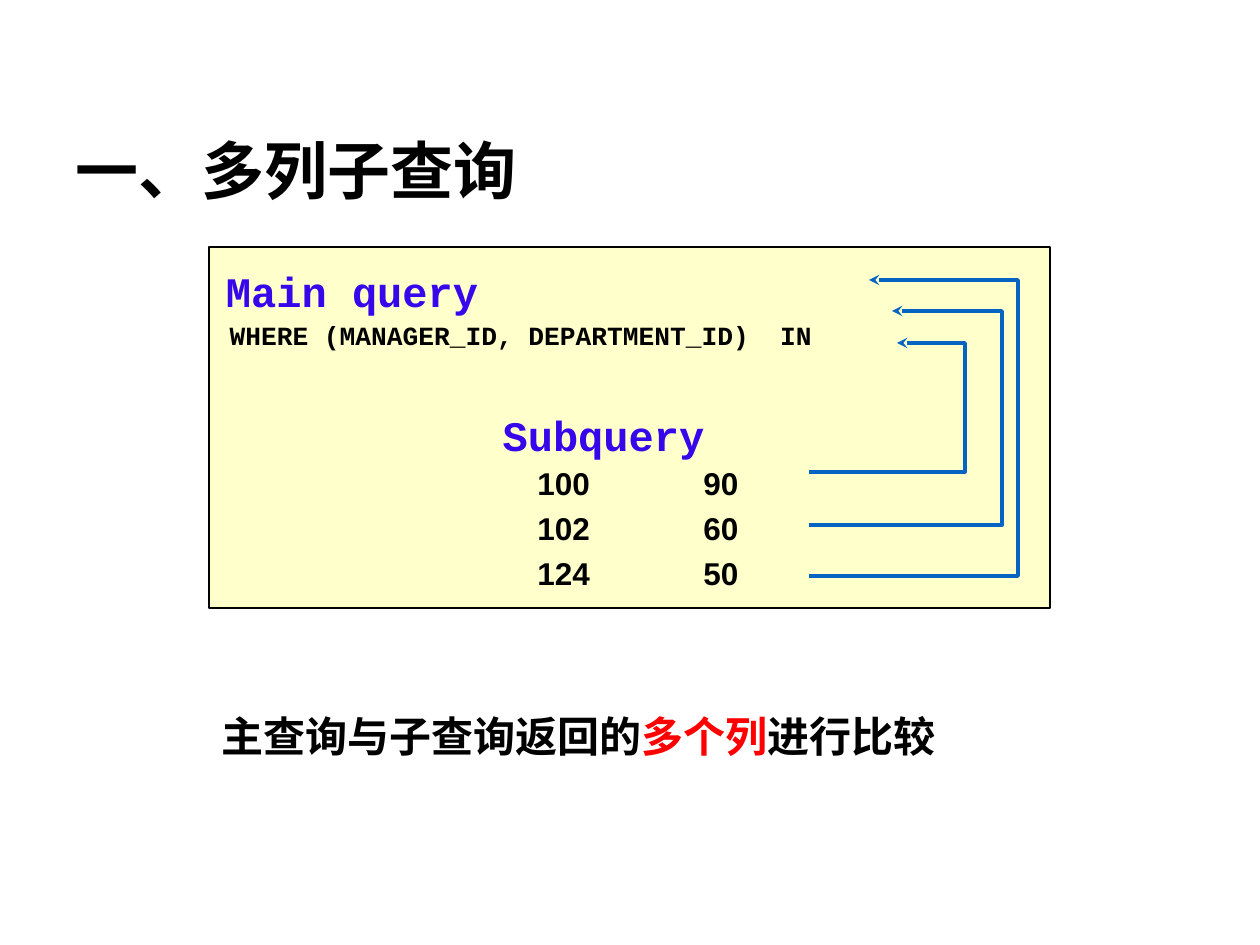
"""Build a slide showing how a multiple-column subquery is compared with its main query."""
from lxml import etree
from pptx import Presentation
from pptx import util as u
from pptx.dml.color import RGBColor
from pptx.enum import shapes, text
from pptx.oxml import ns

PX = u.Inches(1) // 126
COLORS = {"black": "000000", "violet": "3706EA", "red": "FF0000", "blue": "0563C1", "cream": "FFFFCC"}

TITLE = "一、多列子查询"
TITLE_BOX = (63, 96, 1134, 157)
PANEL_BOX = (209, 247, 841, 361)
LABELS = [
    ("Main query", (212, 249, 280, 72), 24, "violet"),
    ("WHERE (MANAGER_ID, DEPARTMENT_ID)  IN", (214, 307, 614, 49), 15, "black"),
    ("Subquery", (489, 393, 229, 72), 24, "violet"),
]
ROWS = [("100", "90"), ("102", "60"), ("124", "50")]
ROWS_BOX = (525, 450, 316, 149)
COLUMN_GAP = 166
SUMMARY = [("主查询与子查询返回的", "black"), ("多个列", "red"), ("进行比较", "black")]
SUMMARY_BOX = (209, 708, 895, 62)
ARROW_START = 809
ARROWS = [(472, 965, 343, 897), (525, 1002, 311, 892), (576, 1018, 280, 869)]


def color(name):
    return RGBColor.from_string(COLORS[name])


def emu(box):
    return [length * PX for length in box]


def add_element(parent, tag, **attributes):
    return etree.SubElement(parent, ns.qn(tag), attributes)


def format_run(run, size, font, color_name):
    run.font.size, run.font.name, run.font.bold = u.Pt(size), font, True
    run.font.color.rgb = color(color_name)


def add_text(slide, box, pieces, size, font, spacing, before, wrap=True):
    frame = slide.shapes.add_textbox(*emu(box)).text_frame
    frame.word_wrap = wrap
    frame.auto_size = text.MSO_AUTO_SIZE.SHAPE_TO_FIT_TEXT
    paragraph = frame.paragraphs[0]
    paragraph.alignment = text.PP_ALIGN.LEFT if wrap else text.PP_ALIGN.CENTER
    paragraph.line_spacing = spacing
    properties = paragraph._p.get_or_add_pPr()
    add_element(add_element(properties, "a:spcBef"), "a:spcPct", val=str(before * 1000))
    if len(pieces) == 1:
        paragraph.text = pieces[0][0]
    else:
        for words, _ in pieces:
            paragraph.add_run().text = words
    for index, run in enumerate(paragraph.runs):
        format_run(run, size, font, pieces[min(index, len(pieces) - 1)][1])
    return paragraph


def add_arrow(slide, start_y, turn_x, end_y, end_x):
    builder = slide.shapes.build_freeform(ARROW_START, start_y, scale=PX)
    builder.add_line_segments([(turn_x, start_y), (turn_x, end_y), (end_x, end_y)], close=False)
    arrow = builder.convert_to_shape()
    arrow.shadow.inherit = False
    arrow.fill.background()
    arrow.line.color.rgb = color("blue")
    arrow.line.width = u.Pt(2)
    line = arrow.line._get_or_add_ln()
    add_element(line, "a:round")
    add_element(line, "a:tailEnd", type="stealth")


def main():
    presentation = Presentation()
    presentation.slide_width, presentation.slide_height = u.Inches(10), u.Inches(7.5)
    slide = presentation.slides.add_slide(presentation.slide_layouts[5])

    title = slide.shapes.title
    title.left, title.top, title.width, title.height = emu(TITLE_BOX)
    title.text_frame.text = TITLE
    title.text_frame.vertical_anchor = text.MSO_ANCHOR.MIDDLE
    heading = title.text_frame.paragraphs[0]
    heading.alignment, heading.line_spacing = text.PP_ALIGN.LEFT, 0.9
    format_run(heading.runs[0], 36, "Arial", "black")

    panel = slide.shapes.add_shape(shapes.MSO_SHAPE.RECTANGLE, *emu(PANEL_BOX))
    panel.shadow.inherit = False
    panel.fill.solid()
    panel.fill.fore_color.rgb = color("cream")
    panel.line.color.rgb = color("black")
    panel.line.width = u.Pt(1)

    for words, box, size, color_name in LABELS:
        add_text(slide, box, [(words, color_name)], size, "Courier New", 1.2, 60, wrap=False)

    rows = "\v".join("\t".join(row) for row in ROWS)
    paragraph = add_text(slide, ROWS_BOX, [(rows, "black")], 18, "Arial", 1.2, 60)
    tabs = add_element(paragraph._p.get_or_add_pPr(), "a:tabLst")
    add_element(tabs, "a:tab", pos=str(COLUMN_GAP * PX), algn="l")

    for arrow in ARROWS:
        add_arrow(slide, *arrow)
    add_text(slide, SUMMARY_BOX, SUMMARY, 24, "Arial", 0.95, 35)
    presentation.save("out.pptx")


if __name__ == "__main__":
    main()
